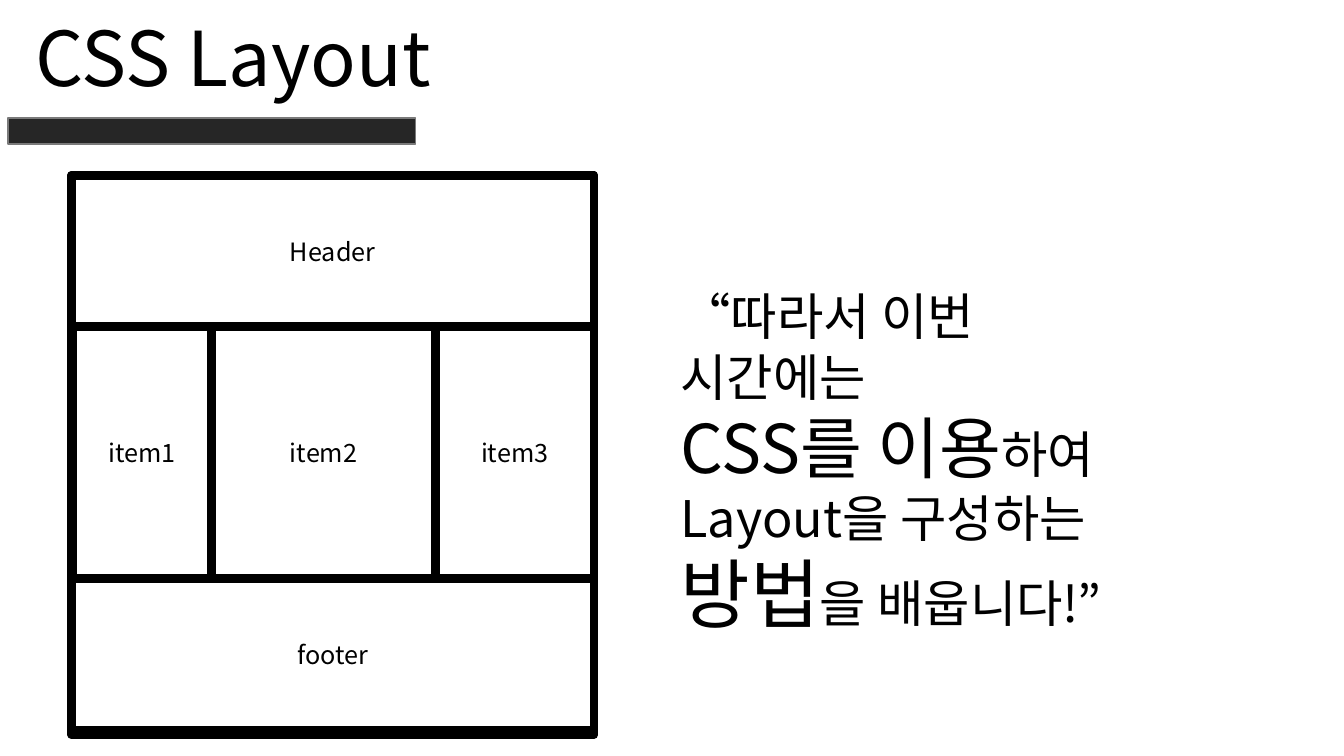
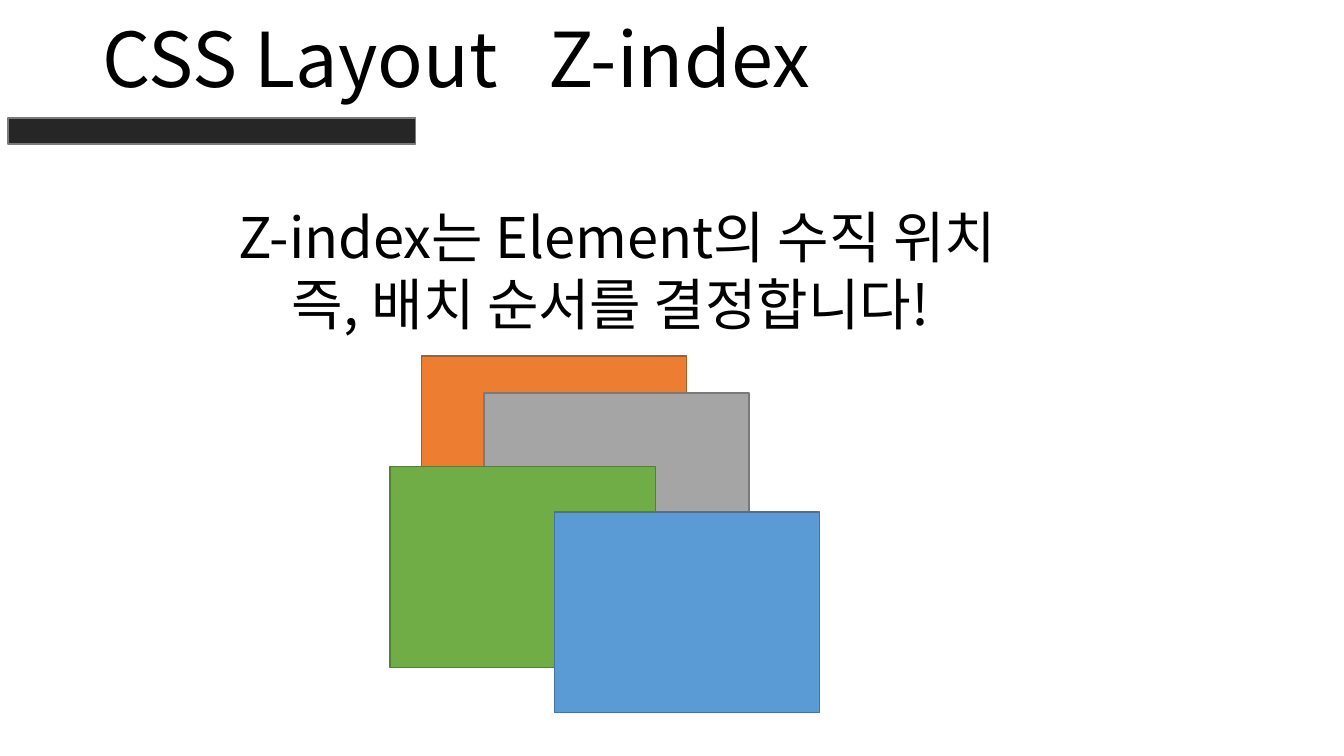
from dataclasses import dataclass
from typing import Optional

from lxml import etree
from pptx import Presentation
from pptx.dml.color import RGBColor
from pptx.enum import shapes, text
from pptx.oxml import ns
from pptx.util import Inches, Pt


@dataclass(frozen=True)
class Theme:
    font: str = "Noto Sans CJK KR"
    ink: str = "000000"
    band: str = "262626"
    edge: str = "7A7A7A"
    title: int = 54
    label: int = 18
    small: int = 36
    mid: int = 40
    large: int = 48
    huge: int = 54
    thin: float = 1
    thick: float = 6


@dataclass(frozen=True)
class Box:
    left: float
    top: float
    width: float
    height: float


@dataclass(frozen=True)
class Run:
    text: str
    size: int
    gap: int = 0  # extra letter spacing in points


@dataclass(frozen=True)
class Rect:
    box: Box
    edge: str
    weight: float
    fill: Optional[str] = None
    label: str = ""


THEME = Theme()
CENTER = text.PP_ALIGN.CENTER
LEFT = text.PP_ALIGN.LEFT
BAND = Rect(Box(0.08, 1.17, 4.04, 0.26), THEME.edge, THEME.thin, THEME.band)


def add_run(para, run: Run) -> None:
    part = para.add_run()
    part.text = run.text
    font = part.font
    font.size = Pt(run.size)
    font.name = THEME.font
    font.color.rgb = RGBColor.from_string(THEME.ink)
    props = part._r.get_or_add_rPr()
    etree.SubElement(props, ns.qn("a:ea"), typeface=THEME.font)
    if run.gap:
        props.set("spc", str(run.gap * 100))


def write(frame, lines: list[list[Run]], align, anchor, pitch: float = 1.0) -> None:
    frame.word_wrap = True
    frame.auto_size = text.MSO_AUTO_SIZE.NONE
    frame.vertical_anchor = anchor
    for i, runs in enumerate(lines):
        para = frame.add_paragraph() if i else frame.paragraphs[0]
        para.alignment = align
        para.line_spacing = pitch
        para.space_before = Pt(0)
        for run in runs:
            add_run(para, run)


def place(shape, box: Box) -> None:
    shape.left, shape.top = Inches(box.left), Inches(box.top)
    shape.width, shape.height = Inches(box.width), Inches(box.height)


def add_rect(slide, rect: Rect) -> None:
    box = rect.box
    shape = slide.shapes.add_shape(
        shapes.MSO_SHAPE.RECTANGLE,
        Inches(box.left), Inches(box.top), Inches(box.width), Inches(box.height),
    )
    shape.shadow.inherit = False
    if rect.fill:
        shape.fill.solid()
        shape.fill.fore_color.rgb = RGBColor.from_string(rect.fill)
    else:
        shape.fill.background()
    shape.line.color.rgb = RGBColor.from_string(rect.edge)
    shape.line.width = Pt(rect.weight)
    if rect.label:
        write(shape.text_frame, [[Run(rect.label, THEME.label)]],
              CENTER, text.MSO_ANCHOR.MIDDLE)


def add_body(slide, box: Box, lines: list[list[Run]], align) -> None:
    body = slide.placeholders[1]
    place(body, box)
    write(body.text_frame, lines, align, text.MSO_ANCHOR.TOP)
    for para in body.text_frame.paragraphs:
        props = para._p.get_or_add_pPr()
        props.set("marL", "0")
        props.set("indent", "0")
        etree.SubElement(props, ns.qn("a:buNone"))


def add_slide(deck, box: Box, title: list[Run]):
    """Add a slide with the shared title style and dark band."""
    slide = deck.slides.add_slide(deck.slide_layouts[1])
    place(slide.shapes.title, box)
    write(slide.shapes.title.text_frame, [title], CENTER, text.MSO_ANCHOR.BOTTOM, 0.9)
    add_rect(slide, BAND)
    return slide


def add_frame(slide) -> None:
    """Draw the page wireframe: header, three items, footer."""
    left, top, width = 0.71, 1.74, 5.18
    bar, mid = 1.5, 2.5
    cells = [
        (Box(left, top, width, 5.55), ""),
        (Box(left, top, width, bar), "Header"),
        (Box(left, top + bar + mid, width, bar), "footer"),
    ]
    x = left + 0.01
    for i, span in enumerate((1.38, 2.22, 1.57), start=1):
        cells.append((Box(x, top + bar, span, mid), f"item{i}"))
        x += span
    for box, label in cells:
        add_rect(slide, Rect(box, THEME.ink, THEME.thick, label=label))


def add_stack(slide) -> None:
    """Draw the overlapping cards from back to front."""
    cards = [
        (4.18, 3.53, "ED7D31", "AF5C24"),
        (4.8, 3.9, "A5A5A5", "7A7A7A"),
        (3.87, 4.63, "70AD47", "538035"),
        (5.5, 5.08, "5B9BD5", "43739E"),
    ]
    for left, top, fill, edge in cards:
        add_rect(slide, Rect(Box(left, top, 2.63, 1.99), edge, THEME.thin, fill))


def main() -> None:
    deck = Presentation()
    deck.slide_width, deck.slide_height = Inches(13.33), Inches(7.5)

    layout = add_slide(deck, Box(0.08, 0.11, 4.47, 0.96),
                       [Run("CSS Layout", THEME.title)])
    add_frame(layout)
    add_body(layout, Box(6.65, 2.78, 4.77, 3.03), [
        [Run("“따라서 이번 시간에는", THEME.small)],
        [Run("CSS를 이용", THEME.large), Run("하여", THEME.small)],
        [Run("Layout을 구성하는", THEME.small)],
        [Run("방법", THEME.huge), Run("을 배웁니다!”", THEME.small)],
    ], LEFT)

    order = add_slide(deck, Box(0.5, 0.12, 8.05, 0.96), [
        Run("CSS Layout", THEME.title),
        Run(" ", THEME.title, gap=24),
        Run("Z-index", THEME.title),
    ])
    add_body(order, Box(0, 1.96, 12.24, 1.45), [
        [Run("Z-index는 Element의 수직 위치", THEME.mid)],
        [Run("즉, 배치 순서를 결정합니다! ", THEME.mid)],
    ], CENTER)
    add_stack(order)

    deck.save("out.pptx")


if __name__ == "__main__":
    main()
